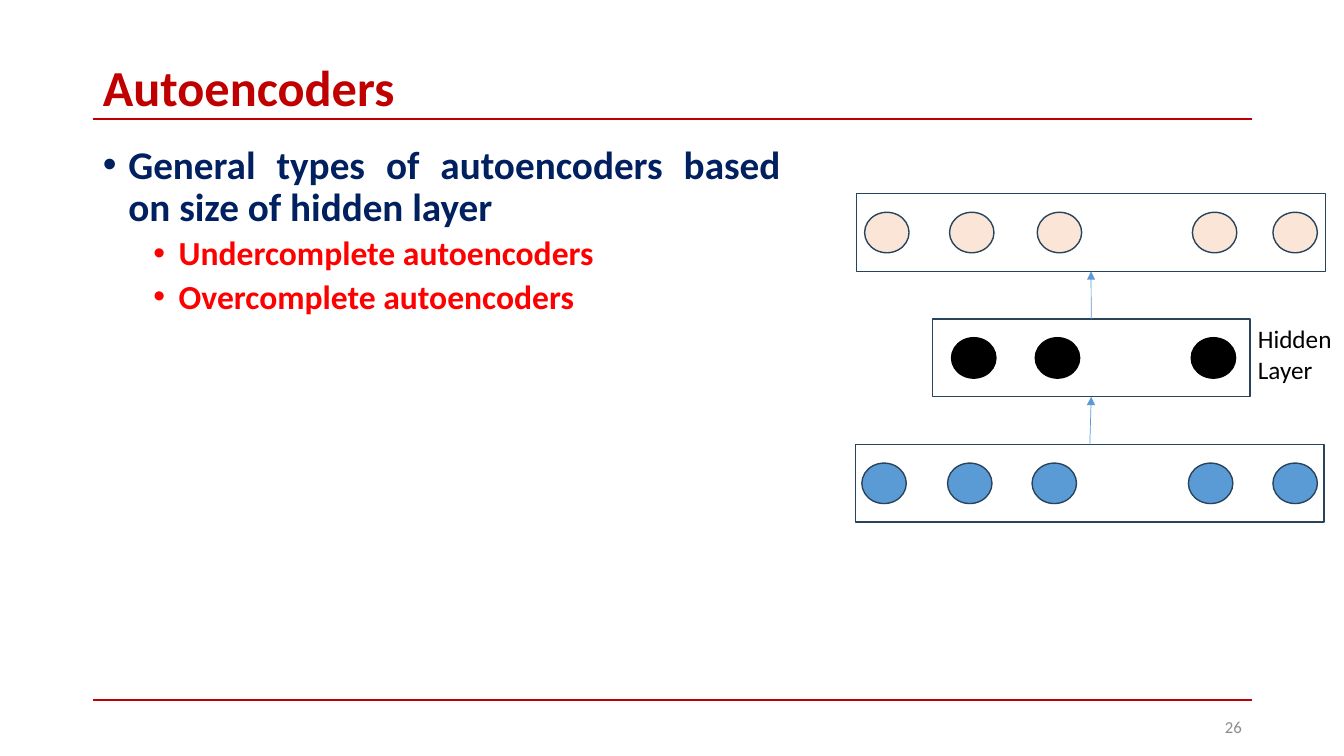
from dataclasses import dataclass

from lxml.etree import SubElement
from pptx import Presentation
from pptx.dml.color import RGBColor
from pptx.enum.shapes import MSO_CONNECTOR as Connector, MSO_SHAPE as Shape
from pptx.enum.text import MSO_ANCHOR as Anchor, MSO_AUTO_SIZE as AutoSize, PP_ALIGN as Align
from pptx.oxml.ns import qn
from pptx.util import Cm, Pt

RED = RGBColor(0xC0, 0x00, 0x00)
BRIGHT_RED = RGBColor(0xFF, 0x00, 0x00)
NAVY = RGBColor(0x00, 0x20, 0x60)
GREY = RGBColor(0x8C, 0x8C, 0x8C)
BLACK = RGBColor(0x00, 0x00, 0x00)
OUTLINE = RGBColor(0x28, 0x44, 0x5D)
BLUE = RGBColor(0x5B, 0x9B, 0xD5)
PEACH = RGBColor(0xFB, 0xE5, 0xD6)

FONT = "Calibri"
RULE_LEFT, RULE_RIGHT = 2.34, 31.55
LAYER_HEIGHT = 1.96
LAYER_STEP = 3.16
INPUT_TOP = 11.2
NODE_WIDTH, NODE_HEIGHT = 1.12, 1.02


@dataclass(frozen=True)
class Layer:
    left: float
    width: float
    node_fill: RGBColor
    node_line: RGBColor
    node_lefts: tuple[float, ...]


@dataclass(frozen=True)
class Bullet:
    text: str
    level: int
    size: int
    color: RGBColor
    indent: float
    space_before: int


LAYERS = (
    Layer(21.56, 11.81, BLUE, OUTLINE, (21.72, 23.88, 26.01, 29.95, 32.08)),
    Layer(23.5, 8, BLACK, BLACK, (23.98, 26.09, 30.02)),
    Layer(21.59, 11.81, PEACH, OUTLINE, (21.79, 23.93, 26.14, 30.05, 32.08)),
)

BULLETS = (
    Bullet("General types of autoencoders based on size of hidden layer", 0, 28, NAVY, 0.64, 0),
    Bullet("Undercomplete autoencoders", 1, 24, BRIGHT_RED, 1.91, 5),
    Bullet("Overcomplete autoencoders", 1, 24, BRIGHT_RED, 1.91, 5),
)


def apply(target, values: dict) -> None:
    for name, value in values.items():
        setattr(target, name, value)


def place(shape, left: float, top: float, width: float, height: float) -> None:
    apply(shape, {"left": Cm(left), "top": Cm(top), "width": Cm(width), "height": Cm(height)})


def add_run(paragraph, text: str, size: int, color: RGBColor, bold: bool = False) -> None:
    run = paragraph.add_run()
    run.text = text
    apply(run.font, {"name": FONT, "size": Pt(size), "bold": bold})
    run.font.color.rgb = color


def add_label(slide, box: tuple[float, float, float, float], text: str, size: int,
              color: RGBColor, align: Align, anchor: Anchor) -> None:
    frame = slide.shapes.add_textbox(*map(Cm, box)).text_frame
    apply(frame, {"word_wrap": True, "vertical_anchor": anchor})
    paragraph = frame.paragraphs[0]
    paragraph.alignment = align
    add_run(paragraph, text, size, color)


def add_line(slide, color: RGBColor, width: float,
             start: tuple[float, float] = (0, 0), end: tuple[float, float] = (0, 0)):
    line = slide.shapes.add_connector(Connector.STRAIGHT, *map(Cm, start + end))
    line.line.color.rgb = color
    line.line.width = Pt(width)
    SubElement(line._element.spPr, qn("a:effectLst"))
    return line


def add_arrow(slide, lower, upper) -> None:
    """Join the top of the lower layer to the bottom of the upper one."""
    arrow = add_line(slide, BLUE, 0.5)
    arrow.begin_connect(lower, 0)
    arrow.end_connect(upper, 2)
    SubElement(arrow.line._get_or_add_ln(), qn("a:tailEnd"), type="triangle")


def add_outlined(slide, kind: Shape, box: tuple[float, float, float, float], line: RGBColor):
    shape = slide.shapes.add_shape(kind, *map(Cm, box))
    shape.shadow.inherit = False
    shape.line.color.rgb = line
    shape.line.width = Pt(1)
    shape.fill.background()
    return shape


def add_layer(slide, layer: Layer, top: float):
    frame = add_outlined(slide, Shape.RECTANGLE,
                         (layer.left, top, layer.width, LAYER_HEIGHT), OUTLINE)
    node_top = top + (LAYER_HEIGHT - NODE_HEIGHT) / 2
    for left in layer.node_lefts:
        node = add_outlined(slide, Shape.OVAL,
                            (left, node_top, NODE_WIDTH, NODE_HEIGHT), layer.node_line)
        node.fill.solid()
        node.fill.fore_color.rgb = layer.node_fill
    return frame


def fill_title(title) -> None:
    place(title, RULE_LEFT, 1.55, 29.21, 1.47)
    apply(title.text_frame, {"auto_size": AutoSize.NONE, "vertical_anchor": Anchor.MIDDLE})
    paragraph = title.text_frame.paragraphs[0]
    apply(paragraph, {"alignment": Align.LEFT, "line_spacing": 0.9})
    add_run(paragraph, "Autoencoders", 36, RED, bold=True)


def fill_body(body) -> None:
    place(body, RULE_LEFT, 3.53, 17.58, 13.49)
    frame = body.text_frame
    frame.auto_size = AutoSize.NONE
    for index, bullet in enumerate(BULLETS):
        paragraph = frame.add_paragraph() if index else frame.paragraphs[0]
        properties = paragraph._p.get_or_add_pPr()
        properties.set("marL", str(Cm(bullet.indent)))
        properties.set("indent", str(-Cm(0.64)))
        SubElement(properties, qn("a:buFont"), typeface="Arial")
        SubElement(properties, qn("a:buChar"), char="•")
        apply(paragraph, {"level": bullet.level, "alignment": Align.JUSTIFY,
                          "line_spacing": 0.9, "space_before": Pt(bullet.space_before)})
        add_run(paragraph, bullet.text, bullet.size, bullet.color, bold=True)


def main() -> None:
    presentation = Presentation()
    apply(presentation, {"slide_width": Cm(33.87), "slide_height": Cm(19.05)})
    slide = presentation.slides.add_slide(presentation.slide_layouts[1])

    for rule_top in (3, 17.65):
        add_line(slide, RED, 1.5, (RULE_LEFT, rule_top), (RULE_RIGHT, rule_top))
    fill_title(slide.shapes.title)
    fill_body(slide.placeholders[1])
    add_label(slide, (23.93, 17.81, 7.62, 1.02), "26", 12, GREY, Align.RIGHT, Anchor.MIDDLE)

    frames = [add_layer(slide, layer, INPUT_TOP - index * LAYER_STEP)
              for index, layer in enumerate(LAYERS)]
    for lower, upper in zip(frames, frames[1:]):
        add_arrow(slide, lower, upper)
    add_label(slide, (31.45, 8.03, 2.41, 1.8), "Hidden Layer", 18, BLACK,
              Align.LEFT, Anchor.TOP)

    presentation.save("out.pptx")


if __name__ == "__main__":
    main()
